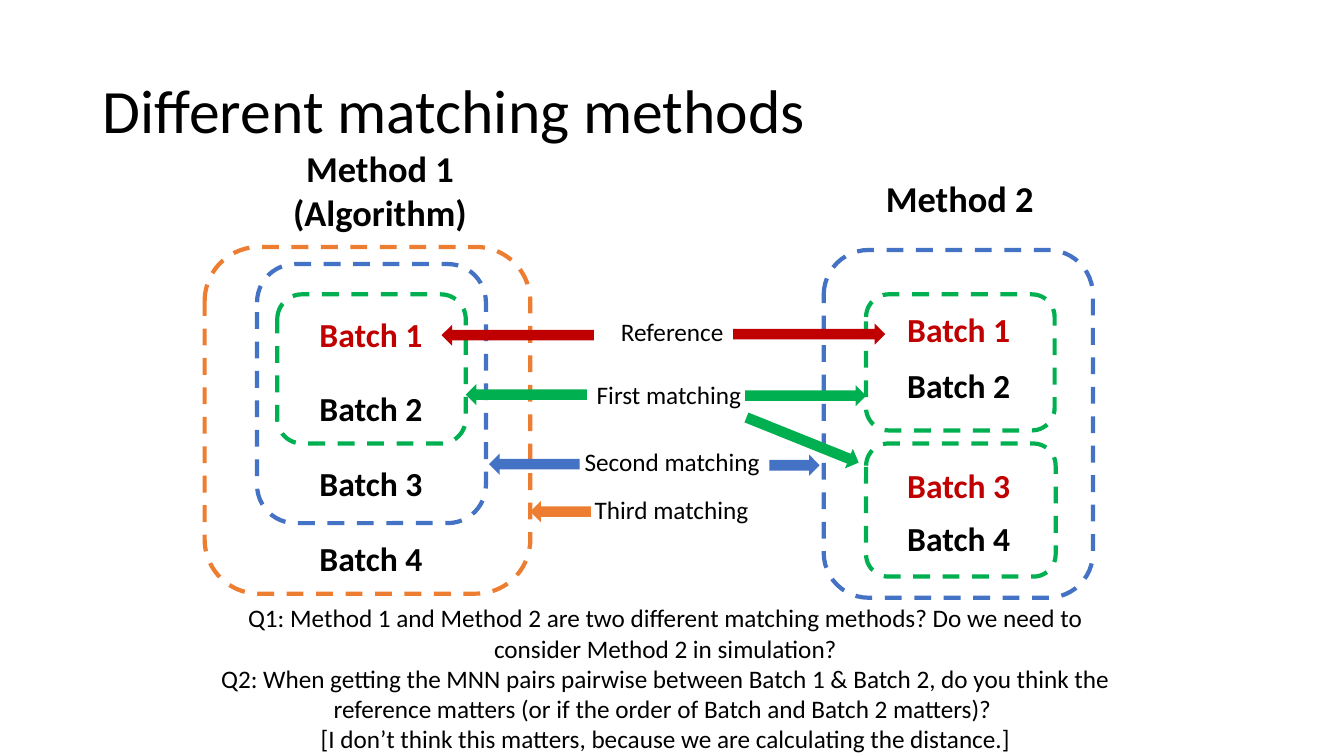
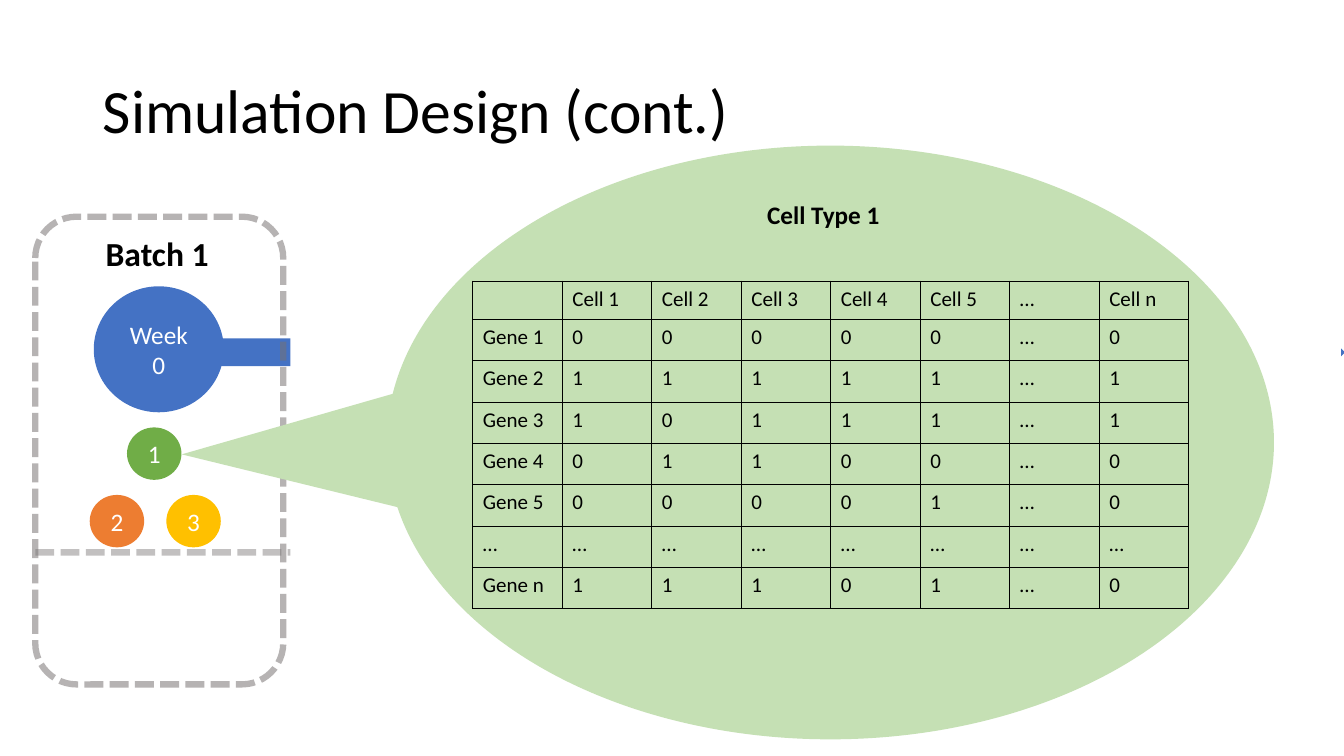
from lxml import etree
from pptx import Presentation
from pptx.dml.color import RGBColor
from pptx.enum.dml import MSO_LINE
from pptx.enum.shapes import MSO_CONNECTOR, MSO_SHAPE
from pptx.enum.text import MSO_ANCHOR, MSO_AUTO_SIZE, PP_ALIGN
from pptx.oxml import parse_xml
from pptx.oxml.ns import nsdecls, qn
from pptx.util import Inches, Pt

LEFT, CENTER = PP_ALIGN.LEFT, PP_ALIGN.CENTER
MIDDLE = MSO_ANCHOR.MIDDLE
GROW = MSO_AUTO_SIZE.SHAPE_TO_FIT_TEXT
DASH, SHORT_DASH = MSO_LINE.DASH, MSO_LINE.SQUARE_DOT
ROUNDED, OVAL, PANEL = MSO_SHAPE.ROUNDED_RECTANGLE, MSO_SHAPE.OVAL, MSO_SHAPE.RECTANGLE
LEFT_ARROW, RIGHT_ARROW = MSO_SHAPE.LEFT_ARROW, MSO_SHAPE.RIGHT_ARROW
CALLOUT = MSO_SHAPE.OVAL_CALLOUT
STRAIGHT = MSO_CONNECTOR.STRAIGHT

FONT = "Calibri"
COLORS = {
    "black": "000000", "white": "FFFFFF", "red": "C00000", "green": "00B050",
    "blue": "4472C4", "orange": "ED7D31", "leaf": "70AD47", "gold": "FFC000",
    "gray": "767171", "pale green": "C5E0B4",
}


def write(frame, text, size=18, color="black", bold=False, align=LEFT, spacing=None):
    """Fill a text frame, one paragraph for each line of text."""
    for index, line in enumerate(text.split("\n")):
        para = frame.add_paragraph() if index else frame.paragraphs[0]
        para.alignment = align
        para.line_spacing = spacing
        span = para.add_run()
        span.text = line
        span.font.name = FONT
        span.font.size = Pt(size)
        span.font.bold = bold
        span.font.color.rgb = RGBColor.from_string(COLORS[color])


def draw(page, kind, place, fill=None, line=None, rotation=0):
    """Add a flat preset shape, filled or with a dashed outline."""
    shape = page.shapes.add_shape(kind, *map(Inches, place))
    shape.shadow.inherit = False
    shape.rotation = rotation
    if fill:
        shape.fill.solid()
        shape.fill.fore_color.rgb = RGBColor.from_string(COLORS[fill])
    else:
        shape.fill.background()
    if line:
        shape.line.color.rgb = RGBColor.from_string(COLORS[line])
        shape.line.width = Pt(3)
        shape.line.dash_style = DASH
    else:
        shape.line.fill.background()
    return shape


deck = Presentation()
deck.slide_width, deck.slide_height = Inches(13.33), Inches(7.5)

pages = []
for heading in ("Different matching methods", "Simulation Design (cont.)"):
    page = deck.slides.add_slide(deck.slide_layouts[5])
    title = page.shapes.title
    title.left, title.top, title.width, title.height = map(Inches, (0.92, 0.4, 11.5, 1.45))
    title.text_frame.vertical_anchor = MIDDLE
    write(title.text_frame, heading, size=44, spacing=0.9)
    pages.append(page)
methods, simulation = pages

# Matching methods: nested groups and the arrows that point at them
groups = [
    ((2.75, 2.92, 1.87, 1.48), "green"),
    ((2.55, 2.62, 2.27, 2.57), "blue"),
    ((2.03, 2.45, 3.23, 3.44), "orange"),
    ((8.59, 2.92, 1.87, 1.35), "green"),
    ((8.59, 4.4, 1.88, 1.32), "green"),
    ((8.17, 2.48, 2.67, 3.45), "blue"),
]
for place, color in groups:
    draw(methods, ROUNDED, place, line=color)

arrows = [
    (4.38, 3.22, 1.51, 0, "red"),
    (4.62, 3.81, 1.2, 0, "green"),
    (4.85, 4.5, 0.9, 0, "blue"),
    (5.26, 4.97, 0.6, 0, "orange"),
    (7.27, 3.21, 1.51, 180, "red"),
    (7.39, 3.82, 1.2, 180, "green"),
    (7.36, 4.26, 1.2, 201.9, "green"),
    (7.63, 4.51, 0.5, 180, "blue"),
]
for left, top, width, rotation, color in arrows:
    draw(methods, LEFT_ARROW, (left, top, width, 0.21), fill=color, rotation=rotation)

questions = methods.shapes.add_textbox(*map(Inches, (2.01, 5.93, 9.18, 1.62)))
questions.text_frame.word_wrap = True
write(
    questions.text_frame,
    "Q1: Method 1 and Method 2 are two different matching methods? "
    "Do we need to consider Method 2 in simulation?\n"
    "Q2: When getting the MNN pairs pairwise between Batch 1 & Batch 2, do you think "
    "the reference matters (or if the order of Batch and Batch 2 matters)? \n"
    "[I don’t think this matters, because we are calculating the distance.]",
    align=CENTER,
)

# Simulation design: timeline, cell types and batch outline
draw(simulation, RIGHT_ARROW, (1.04, 3.22, 12.3, 0.55), fill="blue")
circles = [
    ("Week 0", (0.93, 2.84, 1.29, 1.25), "blue"),
    ("1", (1.26, 4.24, 0.54, 0.52), "leaf"),
    ("3", (1.65, 4.91, 0.54, 0.52), "gold"),
    ("2", (0.89, 4.91, 0.54, 0.52), "orange"),
]
for text, place, color in circles:
    circle = draw(simulation, OVAL, place, fill=color)
    circle.text_frame.vertical_anchor = MIDDLE
    write(circle.text_frame, text, color="white", align=CENTER)

batch = draw(simulation, ROUNDED, (0.35, 2.15, 2.46, 4.64), line="gray")
divider = simulation.shapes.add_connector(
    STRAIGHT, *map(Inches, (0.35, 5.48, 12.9, 5.48)))
divider.line.color.rgb = RGBColor.from_string(COLORS["gray"])
etree.SubElement(divider._element.spPr, qn("a:effectLst"))
for outline, opacity in ((batch, 52), (divider, 43)):
    outline.line.width = Pt(4.5)
    outline.line.dash_style = SHORT_DASH
    tint = outline._element.spPr.find(".//" + qn("a:ln")).find(".//" + qn("a:srgbClr"))
    etree.SubElement(tint, qn("a:alpha")).set("val", str(opacity * 1000))

draw(simulation, PANEL, (2.88, 1.76, 10.42, 5.2), fill="white")
bubble = draw(simulation, CALLOUT, (5.29, -0.01, 5.89, 8.8), fill="pale green", rotation=90)
bubble.adjustments[0], bubble.adjustments[1] = 0.02, 0.731

# Gene expression table
counts = {
    "Gene 1": "00000…0",
    "Gene 2": "11111…1",
    "Gene 3": "10111…1",
    "Gene 4": "01100…0",
    "Gene 5": "00001…0",
    "…": "………………………"[:7],
    "Gene n": "11101…0",
}
rows = [["", *(f"Cell {number}" for number in range(1, 6)), "…", "Cell n"]]
rows += [[gene, *values] for gene, values in counts.items()]
table = simulation.shapes.add_table(
    len(rows), len(rows[0]), *map(Inches, (4.69, 2.79, 7.1, 3.21))).table
table.first_row = table.horz_banding = False
for column in table.columns:
    column.width = Inches(7.1 / len(rows[0]))
for row_index, values in enumerate(rows):
    table.rows[row_index].height = Inches(0.41 if row_index else 0.37)
    for column_index, value in enumerate(values):
        cell = table.cell(row_index, column_index)
        write(cell.text_frame, value, size=15)
        properties = cell._tc.get_or_add_tcPr()
        for side in ("lnL", "lnR", "lnT", "lnB"):
            properties.append(parse_xml(
                f'<a:{side} {nsdecls("a")} w="12700"><a:solidFill>'
                f'<a:srgbClr val="{COLORS["black"]}"/></a:solidFill></a:{side}>'))
        cell.fill.background()

# Free labels on both pages
batch_format = {"size": 24, "bold": True}
method_format = {"size": 26, "bold": True, "align": CENTER}
labels = [
    (methods, (2.8, 1.4, 1.94, 0.98), "Method 1\n(Algorithm)", method_format),
    (methods, (8.68, 1.7, 1.68, 0.54), "Method 2", method_format),
    (methods, (6.06, 3.09, 1.25, 0.4), "Reference", {}),
    (methods, (5.82, 3.71, 1.73, 0.4), "First matching ", {}),
    (methods, (5.7, 4.38, 2.04, 0.4), "Second matching ", {}),
    (methods, (5.8, 4.86, 1.77, 0.4), "Third matching", {}),
    (simulation, (0.95, 2.26, 1.23, 0.5), "Batch 1", batch_format),
    (simulation, (7.51, 1.93, 1.32, 0.4), "Cell Type 1", {"bold": True}),
]
batch_columns = [
    (3.07, (3.07, 3.8, 4.54, 5.29), (1,)),
    (8.9, (3.02, 3.57, 4.56, 5.09), (1, 3)),
]
for left, tops, references in batch_columns:
    for number, top in enumerate(tops, start=1):
        color = "red" if number in references else "black"
        labels.append((methods, (left, top, 1.23, 0.5), f"Batch {number}",
                       {**batch_format, "color": color}))
for page, place, text, text_format in labels:
    label = page.shapes.add_textbox(*map(Inches, place))
    label.text_frame.word_wrap = False
    label.text_frame.auto_size = GROW
    write(label.text_frame, text, **text_format)

deck.save("out.pptx")
